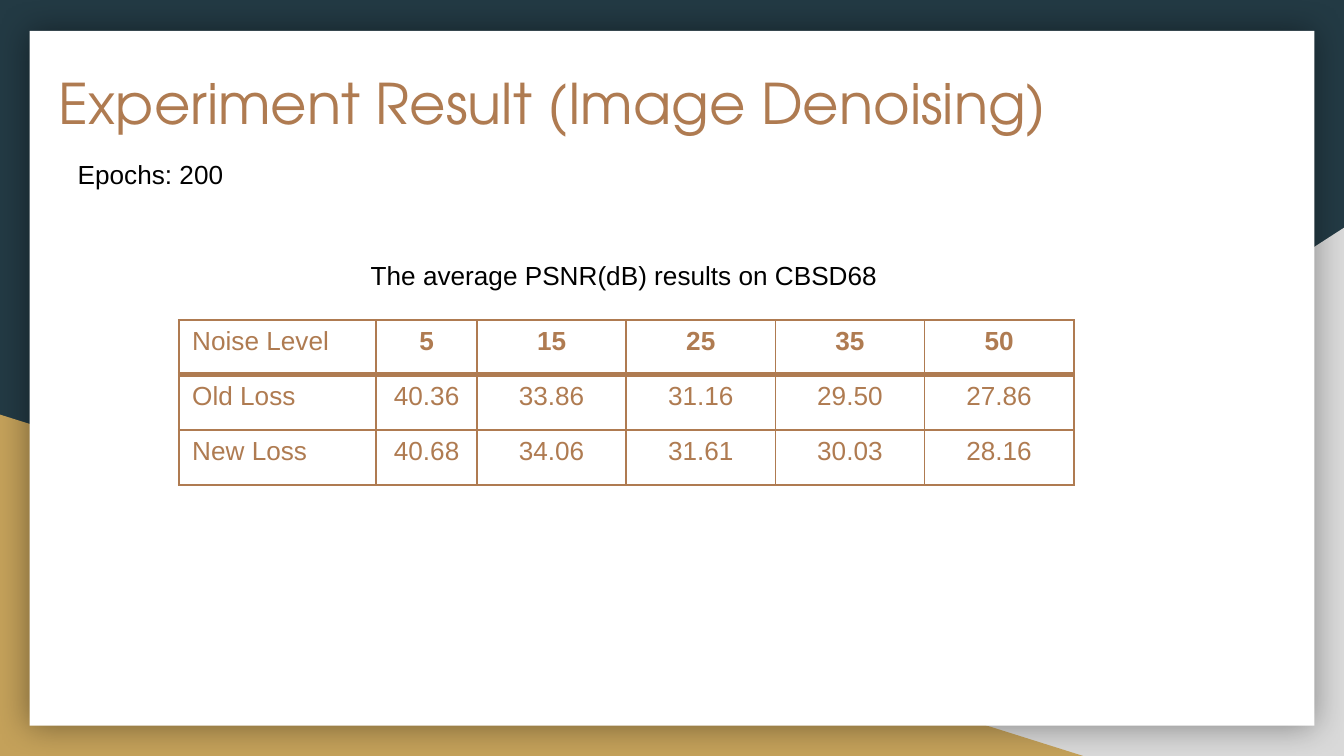
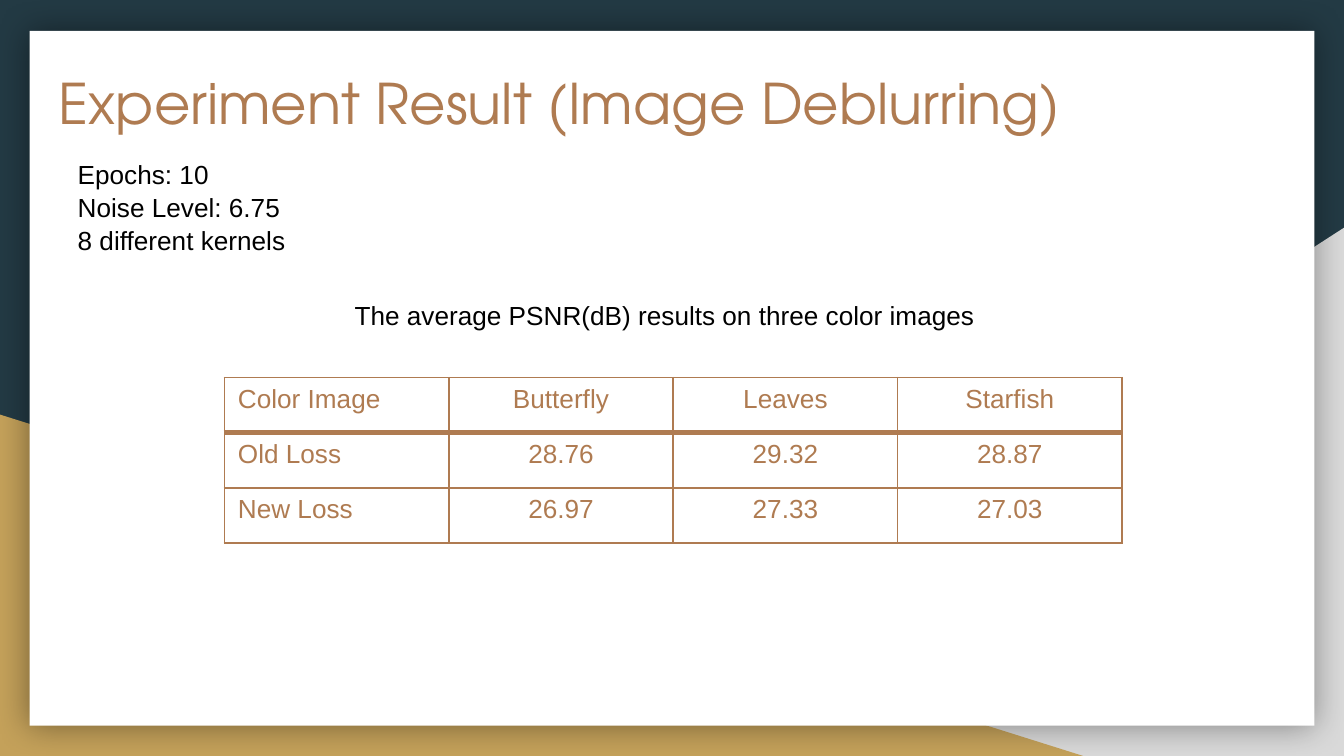
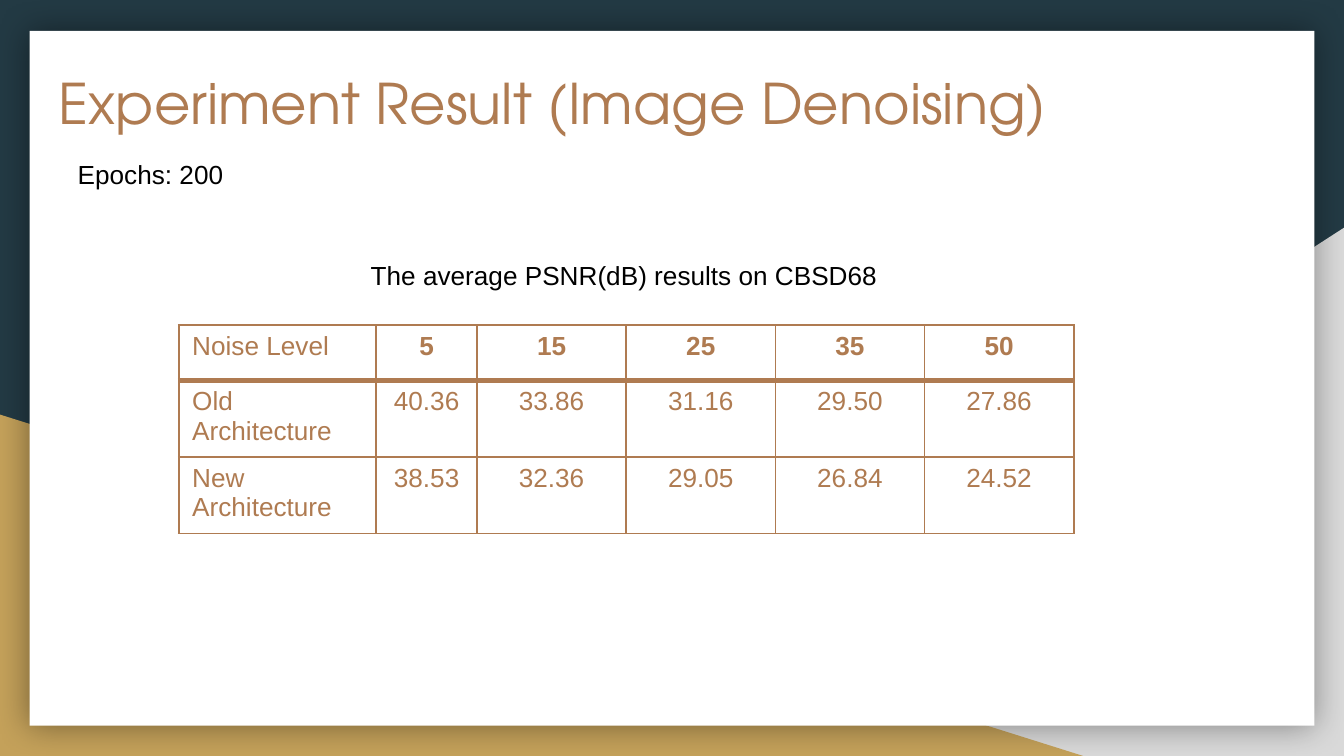
from lxml.etree import SubElement
from pptx import Presentation
from pptx.dml.color import RGBColor
from pptx.enum.shapes import MSO_SHAPE
from pptx.enum.text import MSO_ANCHOR, MSO_AUTO_SIZE, PP_ALIGN
from pptx.oxml.ns import qn
from pptx.util import Inches, Pt

# Content
DENOISING = {
    "title": "Experiment Result (Image Denoising)",
    "settings": ["Epochs: 200"],
    "caption": "The average PSNR(dB) results on CBSD68",
    "caption_at": (2.66, 1.87, 4.01),
    "columns": [1.47, 0.75] + [1.11] * 4,
    "bold_header": True,
}
LEVELS = ["Noise Level", "5", "15", "25", "35", "50"]
BASELINE = ["40.36", "33.86", "31.16", "29.50", "27.86"]

SLIDES = [
    {
        **DENOISING,
        "table_at": (1.33, 2.38),
        "body_row": 0.41,
        "rows": [
            LEVELS,
            ["Old Loss", *BASELINE],
            ["New Loss", "40.68", "34.06", "31.61", "30.03", "28.16"],
        ],
    },
    {
        "title": "Experiment Result (Image Deblurring)",
        "settings": ["Epochs: 10", "Noise Level: 6.75", "8 different kernels"],
        "caption": "The average PSNR(dB) results on three color images",
        "caption_at": (2.54, 2.17, 4.92),
        "columns": [1.67] * 4,
        "bold_header": False,
        "table_at": (1.67, 2.81),
        "body_row": 0.41,
        "rows": [
            ["Color Image", "Butterfly", "Leaves", "Starfish"],
            ["Old Loss", "28.76", "29.32", "28.87"],
            ["New Loss", "26.97", "27.33", "27.03"],
        ],
    },
    {
        **DENOISING,
        "table_at": (1.33, 2.42),
        "body_row": 0.57,
        "rows": [
            LEVELS,
            ["Old Architecture", *BASELINE],
            ["New Architecture", "38.53", "32.36", "29.05", "26.84", "24.52"],
        ],
    },
]


# Theme
class Theme:
    navy, grey, gold = "233A44", "D9D9D9", "C4A15A"
    white, black, copper = "FFFFFF", "000000", "AF7B51"
    title_font, body_font = "TeX Gyre Adventor", "Arial"
    title_size, body_size = 30, 14
    thin, thick = 1, 3
    header_row = 0.41
    line = 0.24
    line_spacing = 1.05


def style(p, color, size=Theme.body_size, font=Theme.body_font, bold=False):
    for r in p.runs:
        r.font.name, r.font.size, r.font.bold = font, Pt(size), bold
        r.font.color.rgb = RGBColor.from_string(color)


def add_panel(s, preset, box, color):
    sp = s.shapes.add_shape(preset, *box)
    sp.shadow.inherit = False
    sp.fill.solid()
    sp.fill.fore_color.rgb = RGBColor.from_string(color)
    sp.line.fill.background()
    return sp


def add_backdrop(s, width, height):
    # Corner triangles, each sitting on the bottom edge
    for w, h, color, on_right in ((6.08, 3.93, Theme.grey, True),
                                  (8.06, 2.54, Theme.gold, False)):
        w, h = Inches(w), Inches(h)
        box = (width - w if on_right else 0, height - h, w, h)
        sp = add_panel(s, MSO_SHAPE.RIGHT_TRIANGLE, box, color)
        if on_right:
            sp._element.spPr.find(qn("a:xfrm")).set("flipH", "1")

    # White card with a soft glow-like shadow
    margin = Inches(0.22)
    box = (margin, Inches(0.23), width - 2 * margin, Inches(5.17))
    card = add_panel(s, MSO_SHAPE.RECTANGLE, box, Theme.white)
    effects = card._element.spPr.find(qn("a:effectLst"))
    shadow = SubElement(effects, qn("a:outerShdw"), blurRad=str(Pt(18)),
                        dist="0", dir="0", algn="ctr", rotWithShape="0")
    color = SubElement(shadow, qn("a:srgbClr"), val=Theme.black)
    SubElement(color, qn("a:alpha"), val="40000")


def add_text(s, lines, left, top, width, height):
    box = s.shapes.add_textbox(*map(Inches, (left, top, width, height)))
    tf = box.text_frame
    tf.word_wrap = True
    tf.vertical_anchor = MSO_ANCHOR.TOP
    tf.text = "\n".join(lines)
    return tf


def add_title(s, title):
    tf = add_text(s, [title], 0.34, 0.41, 8.21, 1.04)
    tf.margin_top = tf.margin_bottom = Inches(0.1)
    style(tf.paragraphs[0], Theme.copper, Theme.title_size, Theme.title_font)


def add_body(s, lines, left, top, width, height):
    tf = add_text(s, lines, left, top, width, height)
    tf.auto_size = MSO_AUTO_SIZE.SHAPE_TO_FIT_TEXT
    for p in tf.paragraphs:
        p.line_spacing = Theme.line_spacing
        style(p, Theme.black)


def set_borders(cell, widths):
    tcPr = cell._tc.get_or_add_tcPr()
    for side, width in zip("LRTB", widths):
        ln = SubElement(tcPr, qn(f"a:ln{side}"), w=str(Pt(width)))
        fill = SubElement(ln, qn("a:solidFill"))
        SubElement(fill, qn("a:srgbClr"), val=Theme.copper)


def add_results(s, rows, columns, at, body_row, bold_header):
    heights = [Theme.header_row] + [body_row] * (len(rows) - 1)
    size = sum(columns), sum(heights)
    table = s.shapes.add_table(len(rows), len(columns),
                               *map(Inches, (*at, *size))).table
    table.first_row = table.horz_banding = False
    for column, width in zip(table.columns, columns):
        column.width = Inches(width)
    for row, height in zip(table.rows, heights):
        row.height = Inches(height)

    for i, values in enumerate(rows):
        # The rule under the header is the only thick one
        above = Theme.thick if i == 1 else Theme.thin
        below = Theme.thick if i == 0 else Theme.thin
        for j, value in enumerate(values):
            cell = table.cell(i, j)
            set_borders(cell, (Theme.thin, Theme.thin, above, below))
            cell.fill.solid()
            cell.fill.fore_color.rgb = RGBColor.from_string(Theme.white)
            cell.text = value
            p = cell.text_frame.paragraphs[0]
            p.alignment = PP_ALIGN.CENTER if j else PP_ALIGN.LEFT
            style(p, Theme.copper, bold=bold_header and i == 0 and j > 0)


def main():
    prs = Presentation()
    prs.slide_width = Inches(10)
    prs.slide_height = prs.slide_width * 9 // 16
    background = prs.slide_master.background.fill
    background.solid()
    background.fore_color.rgb = RGBColor.from_string(Theme.navy)

    for page in SLIDES:
        s = prs.slides.add_slide(prs.slide_layouts[6])
        add_backdrop(s, prs.slide_width, prs.slide_height)
        add_title(s, page["title"])
        settings = page["settings"]
        add_body(s, settings, 0.48, 1.12, 2.17, 0.1 + Theme.line * len(settings))
        add_results(s, page["rows"], page["columns"], page["table_at"],
                    page["body_row"], page["bold_header"])
        add_body(s, [page["caption"]], *page["caption_at"], 0.57)

    prs.save("out.pptx")


if __name__ == "__main__":
    main()
